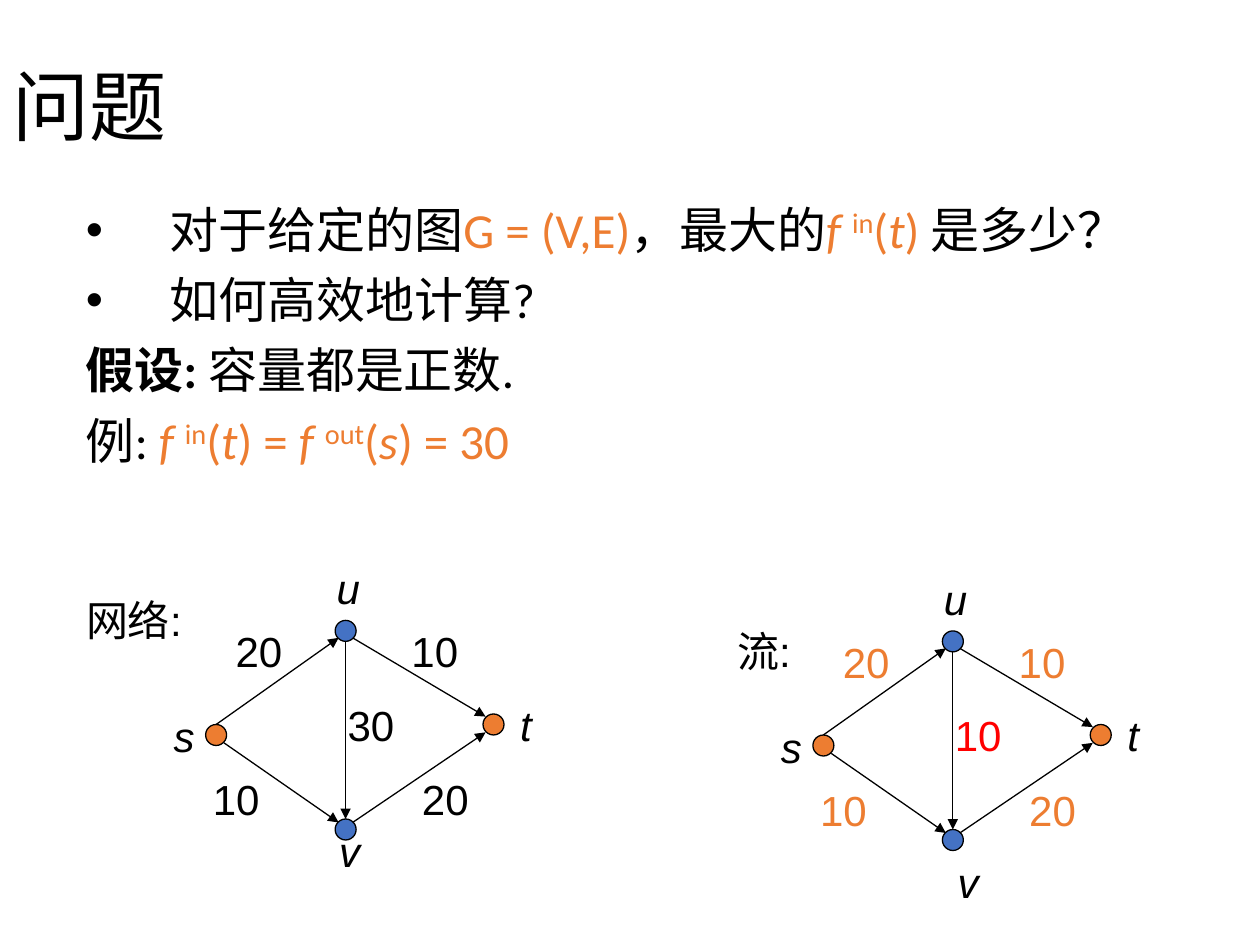
from lxml import etree
from pptx import Presentation
from pptx.dml.color import RGBColor
from pptx.enum import shapes, text
from pptx.oxml import ns
from pptx.util import Pt

BLACK = RGBColor(0x00, 0x00, 0x00)
ORANGE = RGBColor(0xED, 0x7D, 0x31)
BLUE = RGBColor(0x44, 0x72, 0xC4)
RED = RGBColor(0xFF, 0x00, 0x00)


def add_run(p, words, size, font, color, style=""):
    r = p.add_run()
    r.text = words
    r.font.size = Pt(size)
    r.font.name = font
    r.font.color.rgb = color
    r.font.bold = "b" in style
    r.font.italic = "i" in style
    if "^" in style:
        r.font._element.set("baseline", "30000")


def add_label(s, words, x, y, w, color=BLACK, italic=False, wrap=False):
    tf = s.shapes.add_textbox(Pt(x), Pt(y), Pt(w), Pt(36)).text_frame
    tf.word_wrap = wrap
    tf.vertical_anchor = text.MSO_ANCHOR.MIDDLE
    p = tf.paragraphs[0]
    p.alignment = text.PP_ALIGN.CENTER
    add_run(p, words, 24, "Arial", color, "i" if italic else "")


prs = Presentation()
prs.slide_width, prs.slide_height = Pt(720), Pt(540)
s = prs.slides.add_slide(prs.slide_layouts[6])

tf = s.shapes.add_textbox(0, Pt(18), Pt(660), Pt(90)).text_frame
tf.word_wrap = True
tf.vertical_anchor = text.MSO_ANCHOR.MIDDLE
tf.paragraphs[0].line_spacing = 0.9
add_run(tf.paragraphs[0], "问题", 44, "Calibri", BLACK)

body = [
    [("对于给定的图", BLACK, ""), ("G = (V,E)", ORANGE, ""), ("，最大的", BLACK, ""),
     ("f ", ORANGE, "i"), ("in", ORANGE, "^"), ("(", ORANGE, ""), ("t", ORANGE, "i"),
     (") ", ORANGE, ""), ("是多少？", BLACK, "")],
    [("如何高效地计算?", BLACK, "")],
    [("假设: ", BLACK, "b"), ("容量都是正数.", BLACK, "")],
    [("例: ", BLACK, ""), ("f ", ORANGE, "i"), ("in", ORANGE, "^"), ("(", ORANGE, ""),
     ("t", ORANGE, "i"), (") = ", ORANGE, ""), ("f ", ORANGE, "i"), ("out", ORANGE, "^"),
     ("(", ORANGE, ""), ("s", ORANGE, "i"), (") = 30", ORANGE, "")],
]
tf = s.shapes.add_textbox(Pt(42), Pt(114), Pt(678), Pt(282)).text_frame
tf.word_wrap = True
for i, runs in enumerate(body):
    p = tf.paragraphs[0] if i == 0 else tf.add_paragraph()
    p.line_spacing = 0.9
    if i:
        p.space_before = Pt(10)
    pPr = p._p.get_or_add_pPr()
    pPr.set("marL", str(Pt(48)))
    pPr.set("indent", str(-Pt(48)))
    if i < 2:
        etree.SubElement(pPr, ns.qn("a:buFont")).set("typeface", "Arial")
        etree.SubElement(pPr, ns.qn("a:buChar")).set("char", "•")
    else:
        etree.SubElement(pPr, ns.qn("a:buNone"))
    for words, color, style in runs:
        add_run(p, words, 28, "Calibri", color, style)

nodes = [(117.5, 414, ORANGE), (191.5, 354.5, BLUE), (276, 408, ORANGE), (191.5, 468, BLUE)]
edges = [(201.5, 364.5, 277.5, 409.5), (123.5, 414, 193.5, 364.5), (128, 424.5, 193.5, 470),
         (201.5, 470, 277.5, 418.5), (197.5, 366.5, 197.5, 468)]
names = [("s", 92, 402.5, 26.5), ("u", 185, 318, 28), ("t", 290, 396, 21)]
weights = [("20", 127.5, 354), ("10", 228, 354), ("10", 114.5, 438.5), ("20", 234, 438.5)]
graphs = [(0, 0, BLACK, "30", BLACK, 186.5, 468), (347, 6, ORANGE, "10", RED, 193, 480)]

for dx, dy, color, middle, middle_color, vx, vy in graphs:
    for x, y, fill in nodes:
        sp = s.shapes.add_shape(shapes.MSO_SHAPE.OVAL, Pt(x + dx), Pt(y + dy), Pt(12), Pt(12))
        sp.shadow.inherit = False
        sp.fill.solid()
        sp.fill.fore_color.rgb = fill
        sp.line.color.rgb = BLACK
        sp.line.width = Pt(0.75)
    for x1, y1, x2, y2 in edges:
        c = s.shapes.add_connector(shapes.MSO_CONNECTOR.STRAIGHT, Pt(x1 + dx), Pt(y1 + dy),
                                   Pt(x2 + dx), Pt(y2 + dy))
        c.line.color.rgb = BLACK
        c.line.width = Pt(0.75)
        etree.SubElement(c.line._get_or_add_ln(), ns.qn("a:tailEnd")).set("type", "triangle")
        etree.SubElement(c._element.spPr, ns.qn("a:effectLst"))
    for words, x, y, w in names + [("v", vx, vy, 26.5)]:
        add_label(s, words, x + dx, y + dy, w, italic=True)
    for words, x, y in weights:
        add_label(s, words, x + dx, y + dy, 41, color)
    add_label(s, middle, 191.5 + dx, 396 + dy, 41, middle_color)

add_label(s, "流:", 414, 354, 45, wrap=True)
add_label(s, "网络:", 42, 336, 69, wrap=True)

prs.save("out.pptx")
